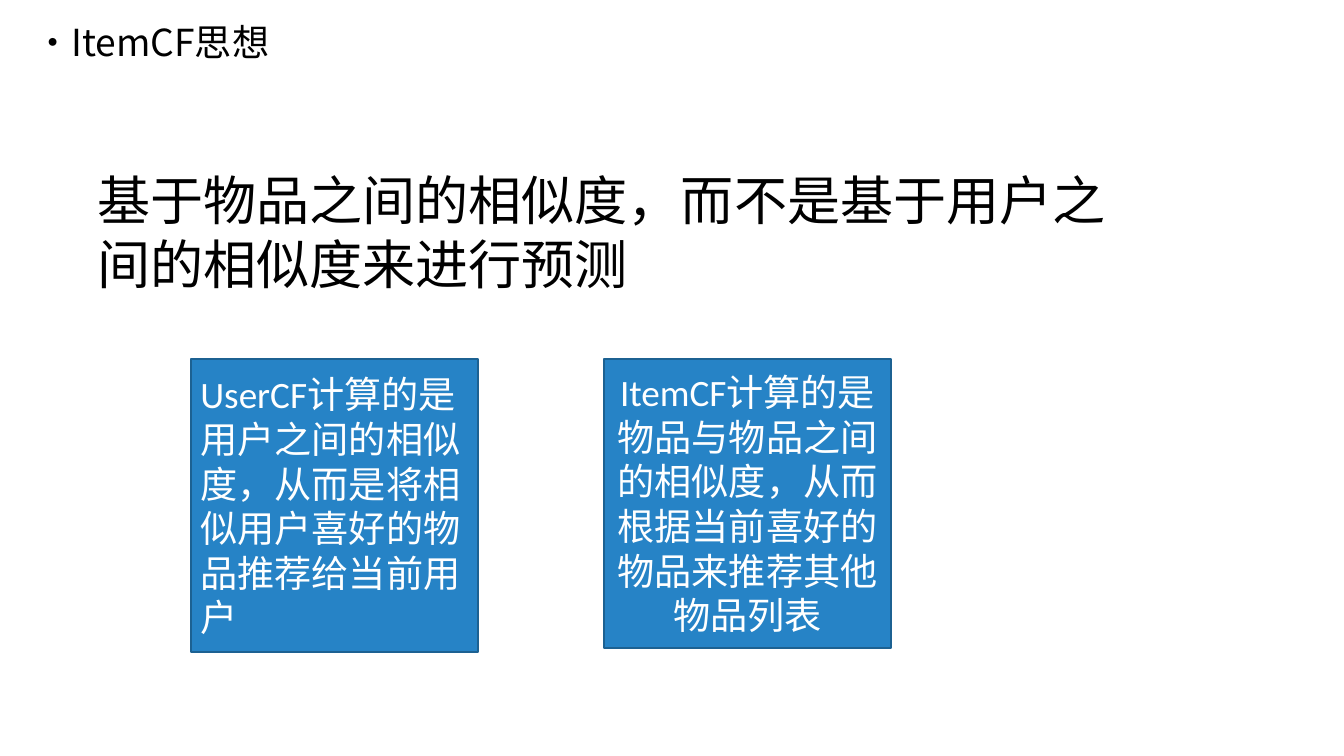
import pptx
import pptx.dml.color
import pptx.enum.shapes
import pptx.enum.text
import pptx.oxml
import pptx.oxml.ns
import pptx.util

ALIGN = pptx.enum.text.PP_ALIGN
ANCHOR = pptx.enum.text.MSO_ANCHOR
AUTO_SIZE = pptx.enum.text.MSO_AUTO_SIZE

# Content
SLIDE_SIZE = (1344, 756)
HEADING = {"text": "·ItemCF思想", "box": (25, 22, 340, 44)}
STATEMENT = {
    "text": "基于物品之间的相似度，而不是基于用户之间的相似度来进行预测",
    "box": (88, 163, 1051, 139),
}
# Text, height, alignment
CARDS = [
    ("UserCF计算的是用户之间的相似度，从而是将相似用户喜好的物品推荐给当前用户", 293, ALIGN.LEFT),
    ("ItemCF计算的是物品与物品之间的相似度，从而根据当前喜好的物品来推荐其他物品列表", 289, ALIGN.CENTER),
]
CARD_LEFT, CARD_TOP, CARD_WIDTH, CARD_STEP = 191, 359, 287, 413

EMU_PER_PX = 914400 / 95.6


def px(length):
    return pptx.util.Emu(round(length * EMU_PER_PX))


def color(value):
    return pptx.dml.color.RGBColor.from_string(value)


def set_values(target, values):
    for name, value in values.items():
        setattr(target, name, value)


def write_text(shape, text, size, font_name, text_color, frame_format, paragraph_format):
    frame = shape.text_frame
    set_values(frame, {"word_wrap": True, **frame_format})
    paragraph = frame.paragraphs[0]
    set_values(paragraph, paragraph_format)
    run = paragraph.add_run()
    run.text = text
    set_values(run.font, {"size": pptx.util.Pt(size), "name": font_name})
    run.font.color.rgb = color(text_color)
    # Chinese characters take the same font as Latin letters
    east_asian = pptx.oxml.parse_xml(f'<a:ea {pptx.oxml.ns.nsdecls("a")} typeface="{font_name}"/>')
    run.font._element.append(east_asian)


presentation = pptx.Presentation()
presentation.slide_width, presentation.slide_height = map(px, SLIDE_SIZE)
slide = presentation.slides.add_slide(presentation.slide_layouts[6])

# Heading
heading = slide.shapes.add_textbox(*map(px, HEADING["box"]))
write_text(heading, HEADING["text"], 28, "Noto Sans CJK SC", "000000",
           {"vertical_anchor": ANCHOR.MIDDLE}, {"line_spacing": 0.9})

# Main statement
statement = slide.shapes.add_textbox(*map(px, STATEMENT["box"]))
write_text(statement, STATEMENT["text"], 40, "Calibri", "000000",
           {"auto_size": AUTO_SIZE.SHAPE_TO_FIT_TEXT}, {})

# Comparison cards
for index, (text, height, alignment) in enumerate(CARDS):
    left = CARD_LEFT + index * CARD_STEP
    card = slide.shapes.add_shape(
        pptx.enum.shapes.MSO_SHAPE.RECTANGLE, *map(px, (left, CARD_TOP, CARD_WIDTH, height)))
    card.shadow.inherit = False
    card.fill.solid()
    card.fill.fore_color.rgb = color("2683C6")
    card.line.color.rgb = color("1C6192")
    card.line.width = pptx.util.Pt(1)
    write_text(card, text, 28, "Calibri", "FFFFFF",
               {"vertical_anchor": ANCHOR.MIDDLE}, {"alignment": alignment})

presentation.save("out.pptx")
